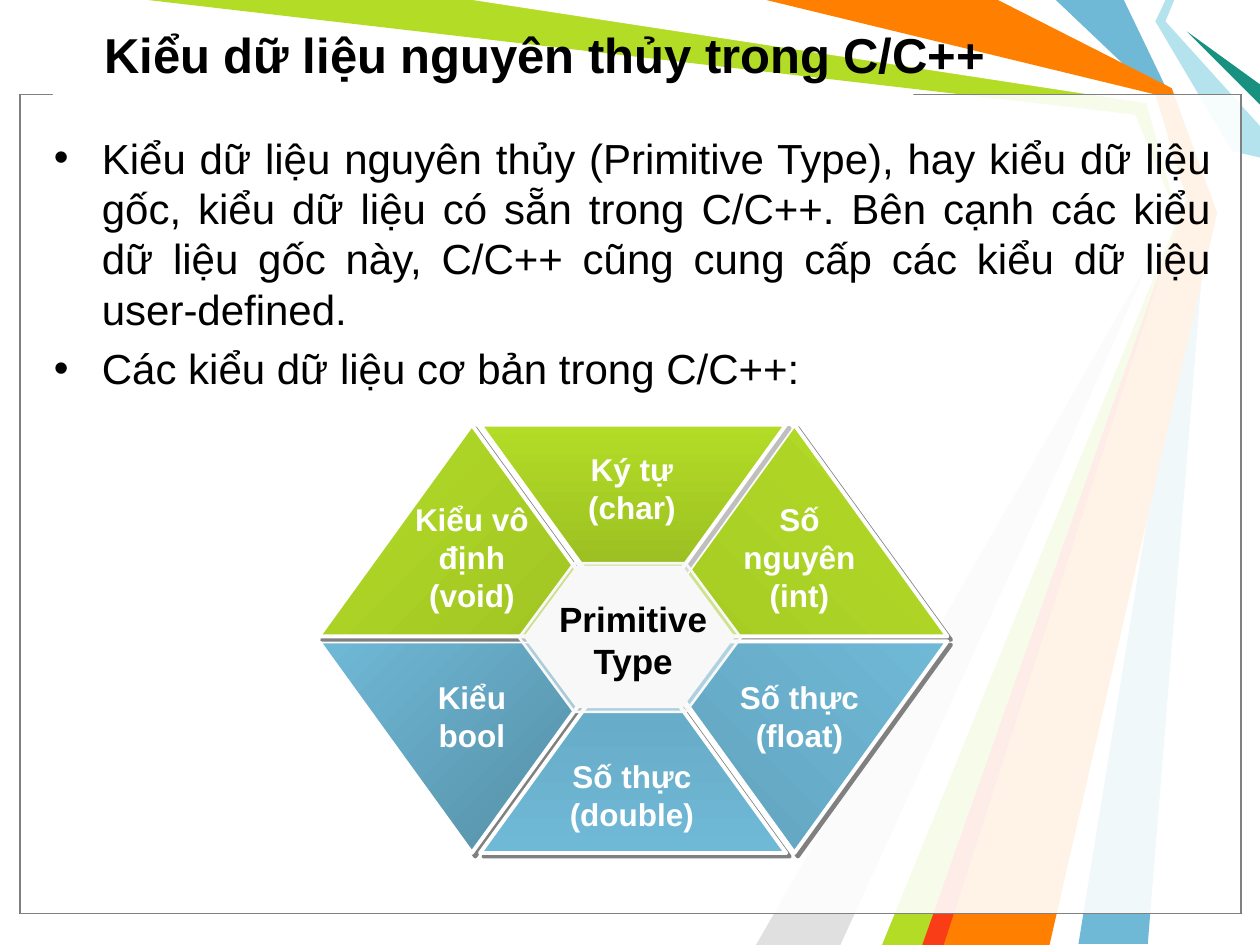
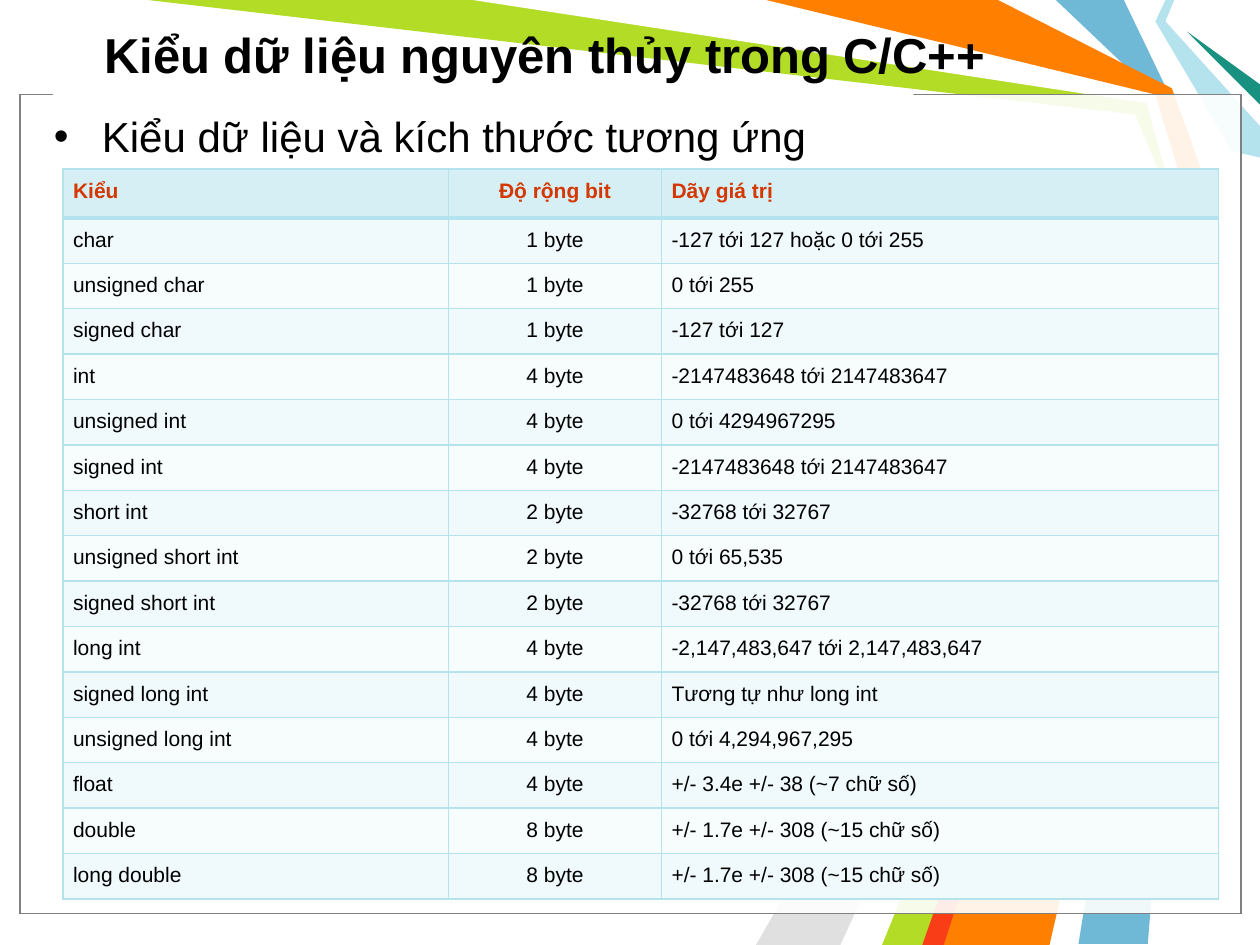
from lxml.etree import SubElement
from pptx import Presentation
from pptx.dml.color import RGBColor
from pptx.enum.shapes import MSO_SHAPE as Preset
from pptx.enum.text import MSO_ANCHOR as Anchor, PP_ALIGN as Align
from pptx.oxml import parse_xml
from pptx.oxml.ns import nsdecls, qn
from pptx.util import Inches, Pt

WHITE, BLACK, GRAY, PALE = "FFFFFF", "000000", "808080", "F8F8F8"
GREEN, BLUE, AQUA, ORANGE = "B3DC27", "6FB9D7", "B4E3EE", "FF7F00"
TITLE = "Kiểu dữ liệu nguyên thủy trong C/C++"

TITLE_FORMAT = {"size": Pt(28), "bold": True}
BODY_FORMAT = {"size": Pt(24)}
LABEL_FORMAT = {"size": Pt(18), "bold": True}
HUB_FORMAT = {"size": Pt(20), "bold": True}
HEAD_FORMAT = {"size": Pt(12), "bold": True}
CELL_FORMAT = {"size": Pt(12), "bold": False}

RIBBONS = [
    (BLUE, [(8.92, 0), (9.29, 0.77), (9.58, 1.67), (9.11, 7.49), (8.56, 7.49),
            (9.5, 1.67), (9.17, 0.75), (8.38, 0)]),
    (GREEN, [(1.17, 0), (3.83, 0), (9.14, 0.78), (9.42, 1.69), (7.42, 7.5),
             (6.92, 7.5), (9.35, 1.73), (9.01, 0.91)]),
    ("E0E0E0", [(6.67, 7.5), (9.27, 1.81), (6, 7.5)]),
    (WHITE, [(3.75, 0), (9.1, 0.82), (9.32, 1.62), (6.75, 7.5), (7, 7.5),
             (9.41, 1.58), (9.17, 0.75), (6, 0)]),
    (AQUA, [(9.25, 0), (9.17, 0.17), (9.78, 1.2), (10, 1.25), (10, 1),
            (9.25, 0.17), (9.32, 0)]),
    ("189180", [(10, 0.83), (9.42, 0.25), (10, 0.67)]),
    (ORANGE, [(6.08, 0), (7.92, 0), (9.3, 0.7), (9.66, 1.69), (8.33, 7.5),
              (7.33, 7.5), (9.42, 1.58), (9.17, 0.75)]),
    ("F93D17", [(7.32, 7.5), (9.32, 1.83), (7.49, 7.5)]),
]

TRIANGLE = (2.43, 1.68)
COLUMN_STEP, ROW_STEP = 1.28, 1.72
TRIANGLES = [
    (0, 1, True, BLUE, "538AA0", 315, 100),
    (2, 0, False, "A5CA24", GREEN, 315, 100),
    (0, 0, False, GREEN, "9FC323", 45, 100),
    (1, 0, True, "90B11F", GREEN, 90, 50),
    (1, 1, False, "63A4BF", BLUE, 90, 100),
    (2, 1, True, "61A1BB", BLUE, 45, 100),
]
LABEL_LEFTS = (0.56, 1.83, 3.16)
LABELS = [
    ("Ký tự (char)", 1, 0.15),
    ("Kiểu bool", 0, 1.96),
    ("Số thực (float)", 2, 1.96),
    ("Số thực (double)", 1, 2.59),
    ("Kiểu vô định (void)", 0, 0.55),
    ("Số nguyên (int)", 2, 0.55),
]

COLUMN_WIDTHS = (3.06, 1.69, 4.42)
COLUMN_ALIGNS = (Align.LEFT, Align.CENTER, Align.LEFT)
HEADER_HEIGHT = 0.39
ROWS = [
    ("Kiểu", "Độ rộng bit", "Dãy giá trị"),
    ("char", "1 byte", "-127 tới 127 hoặc 0 tới 255"),
    ("unsigned char", "1 byte", "0 tới 255"),
    ("signed char", "1 byte", "-127 tới 127"),
    ("int", "4 byte", "-2147483648 tới 2147483647"),
    ("unsigned int", "4 byte", "0 tới 4294967295"),
    ("signed int", "4 byte", "-2147483648 tới 2147483647"),
    ("short int", "2 byte", "-32768 tới 32767"),
    ("unsigned short int", "2 byte", "0 tới 65,535"),
    ("signed short int", "2 byte", "-32768 tới 32767"),
    ("long int", "4 byte", "-2,147,483,647 tới 2,147,483,647"),
    ("signed long int", "4 byte", "Tương tự như long int"),
    ("unsigned long int", "4 byte", "0 tới 4,294,967,295"),
    ("float", "4 byte", "+/- 3.4e +/- 38 (~7 chữ số)"),
    ("double", "8 byte", "+/- 1.7e +/- 308 (~15 chữ số)"),
    ("long double", "8 byte", "+/- 1.7e +/- 308 (~15 chữ số)"),
]


def rgb(value):
    return RGBColor.from_string(value)


def set_values(target, values):
    for name, value in values.items():
        setattr(target, name, value)


def fill_solid(shape, color, alpha=100):
    shape.fill.solid()
    shape.fill.fore_color.rgb = rgb(color)
    if alpha < 100:
        node = shape._element.spPr.find(qn("a:solidFill"))[0]
        SubElement(node, qn("a:alpha"), val=str(alpha * 1000))


def set_outline(shape, color=None, width=0.75):
    shape.shadow.inherit = False
    if color is None:
        shape.line.fill.background()
    else:
        shape.line.color.rgb = rgb(color)
        shape.line.width = Pt(width)


def add_preset(slide, preset, box):
    return slide.shapes.add_shape(preset, *map(Inches, box))


def write(paragraph, text, format_values, color=BLACK):
    run = paragraph.add_run()
    run.text = text
    set_values(run.font, {"name": "Arial", **format_values})
    run.font.color.rgb = rgb(color)


def add_text(slide, box, text, format_values, color=BLACK, align=Align.CENTER, anchor=Anchor.TOP):
    frame = slide.shapes.add_textbox(*map(Inches, box)).text_frame
    set_values(frame, {"word_wrap": True, "vertical_anchor": anchor})
    frame.paragraphs[0].alignment = align
    write(frame.paragraphs[0], text, format_values, color)


def add_bullets(slide, box, texts):
    frame = slide.shapes.add_textbox(*map(Inches, box)).text_frame
    frame.word_wrap = True
    for index, text in enumerate(texts):
        paragraph = frame.add_paragraph() if index else frame.paragraphs[0]
        set_values(paragraph, {"alignment": Align.JUSTIFY, "space_before": Pt(5)})
        properties = paragraph._p.get_or_add_pPr()
        properties.set("marL", str(Inches(0.38)))
        properties.set("indent", str(-Inches(0.38)))
        SubElement(properties, qn("a:buFont"), typeface="Arial")
        SubElement(properties, qn("a:buChar"), char="•")
        write(paragraph, text, BODY_FORMAT)


def add_ribbon(slide, color, points):
    start, *rest = [(Inches(x), Inches(y)) for x, y in points]
    builder = slide.shapes.build_freeform(*start)
    builder.add_line_segments(rest, close=True)
    ribbon = builder.convert_to_shape()
    fill_solid(ribbon, color)
    set_outline(ribbon)


def add_base_slide(presentation):
    slide = presentation.slides.add_slide(presentation.slide_layouts[6])
    for color, points in RIBBONS:
        add_ribbon(slide, color, points)
    for line_color in (BLACK, GRAY):
        panel = add_preset(slide, Preset.RECTANGLE, (0.16, 0.75, 9.69, 6.5))
        fill_solid(panel, WHITE, 69)
        set_outline(panel, line_color)
    title_gap = add_preset(slide, Preset.RECTANGLE, (0.42, 0.74, 6.83, 0.17))
    fill_solid(title_gap, WHITE)
    set_outline(title_gap)
    add_text(slide, (0.73, 0.08, 9.11, 0.69), TITLE, TITLE_FORMAT,
             align=Align.LEFT, anchor=Anchor.MIDDLE)
    return slide


def add_triangle(slide, box, flipped, colors, angle, shadow_alpha):
    triangle = add_preset(slide, Preset.ISOSCELES_TRIANGLE, box)
    triangle.fill.gradient()
    triangle.fill.gradient_angle = 360 - angle
    for position, (stop, color) in enumerate(zip(triangle.fill.gradient_stops, colors)):
        stop.color.rgb = rgb(color)
        stop.position = position
    set_outline(triangle, WHITE, 2.25)
    properties = triangle._element.spPr
    if flipped:
        properties.xfrm.set("flipV", "1")
    shadow = SubElement(properties.find(qn("a:effectLst")), qn("a:outerShdw"),
                        dist=str(Pt(2.8)), dir="2700000", algn="ctr", rotWithShape="0")
    color_node = SubElement(shadow, qn("a:srgbClr"), val=GRAY)
    SubElement(color_node, qn("a:alpha"), val=str(shadow_alpha * 1000))


def add_type_wheel(slide, left, top):
    for column, row, flipped, first, last, angle, alpha in TRIANGLES:
        box = (left + column * COLUMN_STEP, top + row * ROW_STEP, *TRIANGLE)
        add_triangle(slide, box, flipped, (first, last), angle, alpha)
    for text, column, offset in LABELS:
        box = (left + LABEL_LEFTS[column], top + offset, 1.31, 0.71)
        add_text(slide, box, text, LABEL_FORMAT, WHITE)
    for x, y, width, height, alpha in ((1.59, 1.1, 1.76, 1.18, 50), (1.64, 1.13, 1.65, 1.11, 100)):
        hub = add_preset(slide, Preset.HEXAGON, (left + x, top + y, width, height))
        hub.adjustments[0] = 0.37
        fill_solid(hub, PALE, alpha)
        set_outline(hub, PALE, 1.5)
    add_text(slide, (left + 1.79, top + 1.32, 1.41, 0.77), "Primitive Type", HUB_FORMAT)


def set_borders(cell, widths):
    properties = cell._tc.get_or_add_tcPr()
    for index, (side, width) in enumerate(zip("LRTB", widths)):
        properties.insert(index, parse_xml(
            f'<a:ln{side} {nsdecls("a")} w="{Pt(width)}"><a:solidFill>'
            f'<a:srgbClr val="{AQUA}"/></a:solidFill></a:ln{side}>'))


def add_type_table(slide, left, top, width, height):
    table = slide.shapes.add_table(
        len(ROWS), len(COLUMN_WIDTHS), *map(Inches, (left, top, width, height))).table
    for column, column_width in zip(table.columns, COLUMN_WIDTHS):
        column.width = Inches(column_width)
    row_height = (height - HEADER_HEIGHT) / (len(ROWS) - 1)
    margins = {f"margin_{side}": Inches(0.08) for side in ("left", "right", "top", "bottom")}
    for index, values in enumerate(ROWS):
        header = index == 0
        table.rows[index].height = Inches(HEADER_HEIGHT if header else row_height)
        background = "D6EFF5" if header else ("F7FCFD", "F0F9FB")[index % 2]
        for column, text in enumerate(values):
            cell = table.cell(index, column)
            set_values(cell, margins)
            cell.fill.solid()
            cell.fill.fore_color.rgb = rgb(background)
            set_borders(cell, (1, 1, 3 if index == 1 else 1, 3 if header else 1))
            paragraph = cell.text_frame.paragraphs[0]
            paragraph.alignment = COLUMN_ALIGNS[column]
            write(paragraph, text, HEAD_FORMAT if header else CELL_FORMAT,
                  "D43700" if header else BLACK)


def build_overview_slide(presentation):
    slide = add_base_slide(presentation)
    add_bullets(slide, (0.33, 1, 9.38, 6.17), [
        "Kiểu dữ liệu nguyên thủy (Primitive Type), hay kiểu dữ liệu gốc, kiểu dữ liệu "
        "có sẵn trong C/C++. Bên cạnh các kiểu dữ liệu gốc này, C/C++ cũng cung cấp "
        "các kiểu dữ liệu user-defined.",
        "Các kiểu dữ liệu cơ bản trong C/C++:",
    ])
    add_type_wheel(slide, 2.53, 3.37)


def build_sizes_slide(presentation):
    slide = add_base_slide(presentation)
    add_bullets(slide, (0.33, 0.83, 9.38, 6.17), ["Kiểu dữ liệu và kích thước tương ứng"])
    add_type_table(slide, 0.5, 1.34, 9.17, 5.69)


def main():
    presentation = Presentation()
    set_values(presentation, {"slide_width": Inches(10), "slide_height": Inches(7.5)})
    build_overview_slide(presentation)
    build_sizes_slide(presentation)
    presentation.save("out.pptx")


if __name__ == "__main__":
    main()
